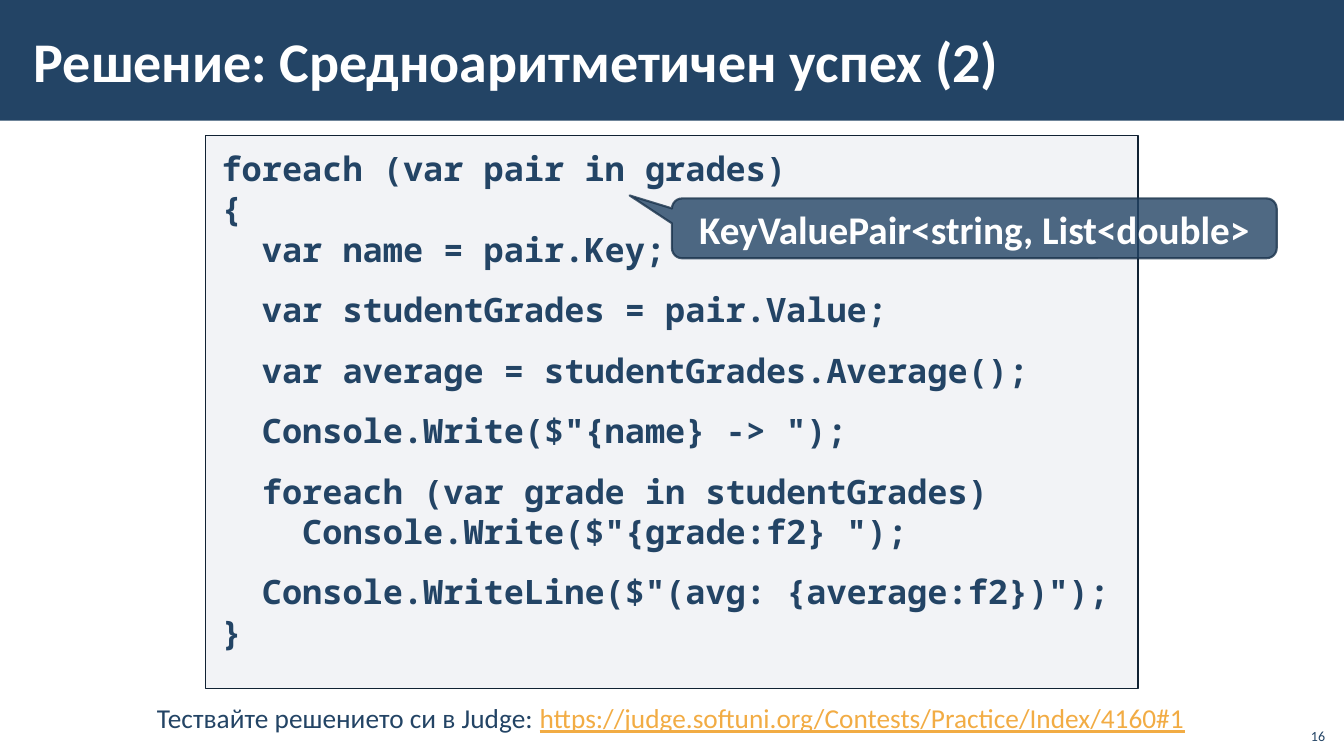
from dataclasses import dataclass

from lxml import etree
from pptx import Presentation
from pptx.dml.color import RGBColor
from pptx.dml.fill import FillFormat
from pptx.enum.shapes import MSO_SHAPE as Preset
from pptx.enum.text import MSO_ANCHOR as Anchor, MSO_AUTO_SIZE as AutoSize, PP_ALIGN as Align
from pptx.oxml.ns import qn
from pptx.shapes.autoshape import Shape
from pptx.slide import Slide
from pptx.text.text import TextFrame
from pptx.util import Pt

PX = 9525  # EMU per px, 96 px to the inch

COLORS = {
    "navy": "234465",
    "outline": "112233",
    "callout_line": "1A334C",
    "code_fill": "ADB4C3",
    "link": "F2AC44",
    "white": "FFFFFF",
}
BODY_FONT = "Calibri"
CODE_FONT = "Noto Sans Mono"


@dataclass(frozen=True)
class Area:
    left: int
    top: int
    width: int
    height: int

    def emu(self) -> tuple[int, ...]:
        return tuple(n * PX for n in (self.left, self.top, self.width, self.height))


@dataclass(frozen=True)
class Span:
    text: str
    color: str = "navy"
    underline: bool = False


@dataclass(frozen=True)
class CodeLine:
    text: str
    gap: bool = False


CODE = [
    CodeLine("foreach (var pair in grades)"),
    CodeLine("{"),
    CodeLine("  var name = pair.Key;"),
    CodeLine("  var studentGrades = pair.Value;", gap=True),
    CodeLine("  var average = studentGrades.Average();", gap=True),
    CodeLine('  Console.Write($"{name} -> ");', gap=True),
    CodeLine("  foreach (var grade in studentGrades)", gap=True),
    CodeLine('    Console.Write($"{grade:f2} ");'),
    CodeLine('  Console.WriteLine($"(avg: {average:f2})");', gap=True),
    CodeLine("}"),
]


def paint(fill: FillFormat, color: str, opacity: int = 100) -> None:
    fill.solid()
    fill.fore_color.rgb = RGBColor.from_string(COLORS[color])
    if opacity < 100:
        # The fill wrapper hides its element, so the fore colour is reached from the shape.
        raise_alpha = fill.fore_color._xFill.find(qn("a:srgbClr"))
        etree.SubElement(raise_alpha, qn("a:alpha"), val=str(opacity * 1000))


def add_panel(page: Slide, preset: Preset, area: Area, color: str, *, opacity: int = 100,
              line: str = "", line_width: float = 1, line_opacity: int = 100) -> Shape:
    panel = page.shapes.add_shape(preset, *area.emu())
    panel.shadow.inherit = False
    paint(panel.fill, color, opacity)
    if line:
        paint(panel.line.fill, line, line_opacity)
        panel.line.width = Pt(line_width)
    else:
        panel.line.fill.background()
    return panel


def prepare(frame: TextFrame, *, inset: tuple[int, int] = (10, 5),
            anchor: Anchor = Anchor.TOP) -> None:
    """Wrap the text and set its horizontal and vertical insets in px."""
    frame.word_wrap = True
    frame.auto_size = AutoSize.NONE
    frame.vertical_anchor = anchor
    frame.margin_left = frame.margin_right = inset[0] * PX
    frame.margin_top = frame.margin_bottom = inset[1] * PX


def write(frame: TextFrame, *spans: Span, size: float, font: str = BODY_FONT,
          bold: bool = False, align: Align = Align.LEFT, gap: float = 0,
          new: bool = False) -> None:
    """Fill the first paragraph, or a new one, with formatted spans."""
    para = frame.add_paragraph() if new else frame.paragraphs[0]
    para.alignment = align
    para.space_before = Pt(gap)
    for span in spans:
        run = para.add_run()
        run.text = span.text
        run.font.size = Pt(size)
        run.font.name = font
        run.font.bold = bold
        run.font.underline = span.underline
        run.font.color.rgb = RGBColor.from_string(COLORS[span.color])


def add_text(page: Slide, area: Area, *spans: Span, size: float, align: Align,
             anchor: Anchor = Anchor.TOP) -> None:
    box = page.shapes.add_textbox(*area.emu())
    prepare(box.text_frame, anchor=anchor)
    write(box.text_frame, *spans, size=size, align=align)


def add_header(page: Slide) -> None:
    bar = add_panel(page, Preset.RECTANGLE, Area(0, 0, 1280, 115), "navy")
    title = page.shapes.title
    title.element.addprevious(bar.element)
    title.left, title.top, title.width, title.height = Area(20, 11, 1020, 93).emu()
    prepare(title.text_frame, inset=(12, 4), anchor=Anchor.MIDDLE)
    write(title.text_frame, Span("Решение: Средноаритметичен успех (2)", "white"),
          size=40, bold=True)


def add_code(page: Slide) -> None:
    panel = add_panel(page, Preset.RECTANGLE, Area(196, 129, 888, 527), "code_fill",
                      opacity=15, line="outline")
    prepare(panel.text_frame, inset=(15, 12))
    for index, line in enumerate(CODE):
        write(panel.text_frame, Span(line.text), size=24, font=CODE_FONT, bold=True,
              gap=14.4 if line.gap else 0, new=index > 0)


def add_callout(page: Slide) -> None:
    callout = add_panel(page, Preset.ROUNDED_RECTANGULAR_CALLOUT, Area(640, 189, 576, 57),
                        "navy", opacity=80, line="callout_line", line_width=1.5,
                        line_opacity=80)
    for index, value in enumerate((-0.57, -0.55, 0.17)):
        callout.adjustments[index] = value
    prepare(callout.text_frame, anchor=Anchor.MIDDLE)
    write(callout.text_frame, Span("KeyValuePair<string, List<double>", "white"),
          size=28, bold=True, align=Align.CENTER)


def main() -> None:
    deck = Presentation()
    deck.slide_width, deck.slide_height = 1280 * PX, 720 * PX
    page = deck.slides.add_slide(deck.slide_layouts[5])
    add_header(page)
    add_code(page)
    add_callout(page)
    add_text(page, Area(1234, 684, 38, 30), Span("16"), size=10, align=Align.RIGHT,
             anchor=Anchor.BOTTOM)
    add_text(page, Area(65, 663, 1148, 42), Span("Тествайте решението си в Judge: "),
             Span("https://judge.softuni.org/Contests/Practice/Index/4160#1", "link", True),
             size=19.5, align=Align.CENTER)
    deck.save("out.pptx")


if __name__ == "__main__":
    main()
